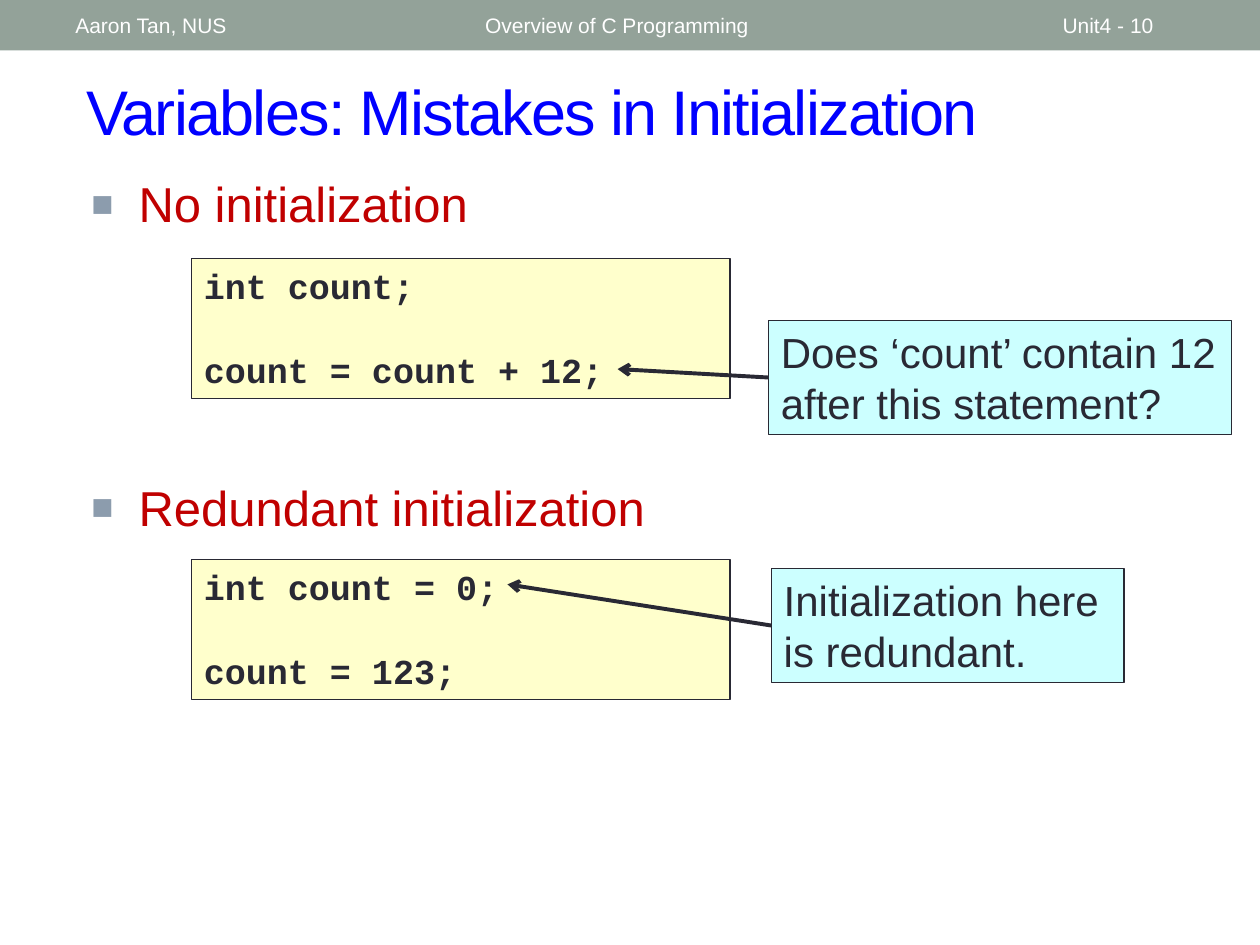
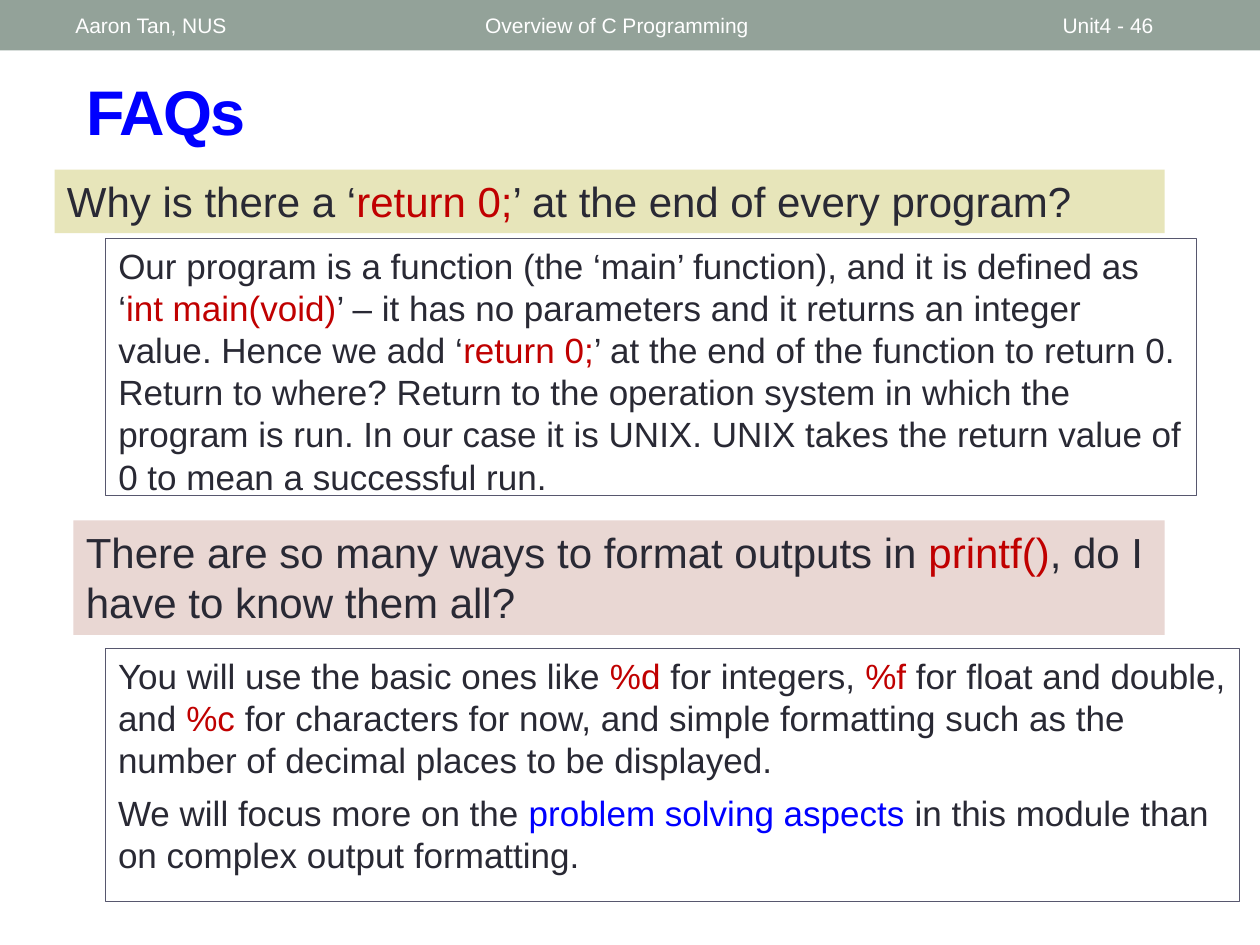
from dataclasses import dataclass

from lxml import etree
from pptx import Presentation
from pptx import util as u
from pptx.dml.color import RGBColor
from pptx.enum import shapes, text
from pptx.oxml.ns import qn


@dataclass(frozen=True)
class Theme:
    band: str = "93A299"
    white: str = "FFFFFF"
    ink: str = "292934"
    title: str = "0000FF"
    accent: str = "C00000"
    bullet: str = "8C9CAD"
    border: str = "57576E"
    code_fill: str = "FFFFCC"
    callout_fill: str = "CCFFFF"
    first_question: str = "E7E5BA"
    second_question: str = "E9D7D3"
    sans: str = "Arial"
    mono: str = "Courier New"
    title_size: int = 36
    list_size: int = 28
    large_size: int = 24
    body_size: int = 20
    header_size: int = 12


theme = Theme()


def write_text(shape, paragraphs, size, color=theme.ink, font=theme.sans, bold=False,
               anchor=text.MSO_ANCHOR.TOP, gap=0, bullet=False, tracking=0):
    frame = shape.text_frame
    frame.word_wrap = True
    frame.auto_size = text.MSO_AUTO_SIZE.NONE
    frame.vertical_anchor = anchor
    for index, segments in enumerate(paragraphs):
        paragraph = frame.add_paragraph() if index else frame.paragraphs[0]
        properties = paragraph._p.get_or_add_pPr()
        indent = u.Cm(0.95) if bullet else 0
        properties.set("marL", str(indent))
        properties.set("indent", str(-indent))
        if bullet:
            bullet_color = etree.SubElement(properties, qn("a:buClr"))
            etree.SubElement(bullet_color, qn("a:srgbClr"), val=theme.bullet)
            etree.SubElement(properties, qn("a:buSzPct"), val="75000")
            etree.SubElement(properties, qn("a:buFont"), typeface=theme.sans)
            etree.SubElement(properties, qn("a:buChar"), char="■")
        else:
            etree.SubElement(properties, qn("a:buNone"))
        paragraph.alignment = text.PP_ALIGN.LEFT
        paragraph.line_spacing = 1.0
        paragraph.space_before = u.Pt(gap if index else 0)
        for segment in [segments] if isinstance(segments, str) else segments:
            content, segment_color = (segment, color) if isinstance(segment, str) else segment
            run = paragraph.add_run()
            run.text = content
            run.font.name = font
            run.font.size = u.Pt(size)
            run.font.bold = bold
            run.font.color.rgb = RGBColor.from_string(segment_color)
            if tracking:
                run._r.get_or_add_rPr().set("spc", str(tracking * 100))


def add_box(slide, left, top, width, height, fill=None, line=None):
    box = slide.shapes.add_shape(
        shapes.MSO_SHAPE.RECTANGLE, u.Cm(left), u.Cm(top), u.Cm(width), u.Cm(height))
    box.shadow.inherit = False
    if fill:
        box.fill.solid()
        box.fill.fore_color.rgb = RGBColor.from_string(fill)
    else:
        box.fill.background()
    if line:
        box.line.color.rgb = RGBColor.from_string(line)
        box.line.width = u.Pt(0.75)
    else:
        box.line.fill.background()
    return box


presentation = Presentation()
presentation.slide_width = u.Cm(25.4)
presentation.slide_height = u.Cm(19.05)

mistakes_slide = presentation.slides.add_slide(presentation.slide_layouts[3])
faq_slide = presentation.slides.add_slide(presentation.slide_layouts[1])

for slide, title, bold, number in [
    (mistakes_slide, "Variables: Mistakes in Initialization", False, 10),
    (faq_slide, "FAQs", True, 46),
]:
    add_box(slide, 0, 0, 25.4, 1.02, fill=theme.band)
    title_shape = slide.shapes.title
    title_shape.left, title_shape.top = u.Cm(1.48), u.Cm(1.27)
    title_shape.width, title_shape.height = u.Cm(22.65), u.Cm(1.9)
    write_text(title_shape, [title], theme.title_size, color=theme.title, bold=bold,
               anchor=text.MSO_ANCHOR.MIDDLE, tracking=-1)
    for left, width, label in [
        (9.53, 11.43, "Overview of C Programming"),
        (21.17, 2.97, f"Unit4 - {number}"),
        (1.27, 8.05, "Aaron Tan, NUS"),
    ]:
        header = slide.shapes.add_textbox(u.Cm(left), u.Cm(0.05), u.Cm(width), u.Cm(0.91))
        write_text(header, [label], theme.header_size, color=theme.white,
                   anchor=text.MSO_ANCHOR.MIDDLE)

mistakes = [
    (3.38, "No initialization", 5.21, ["int count;", "count = count + 12;"],
     (15.49, 6.46, 9.34), "Does ‘count’ contain 12 after this statement?", (12.45, 7.44)),
    (9.49, "Redundant initialization", 11.28, ["int count = 0;", "count = 123;"],
     (15.55, 11.46, 7.11), "Initialization here is redundant.", (10.23, 11.78)),
]
for index, mistake in enumerate(mistakes, start=1):
    heading_top, heading, code_top, code, callout_place, remark, arrow_tip = mistake
    heading_shape = mistakes_slide.placeholders[index]
    heading_shape.left, heading_shape.top = u.Cm(1.59), u.Cm(heading_top)
    heading_shape.width, heading_shape.height = u.Cm(23.24), u.Cm(1.96)
    write_text(heading_shape, [heading], theme.list_size, color=theme.accent, bullet=True)

    code_box = add_box(mistakes_slide, 3.86, code_top, 10.86, 2.82, theme.code_fill, theme.ink)
    write_text(code_box, code, theme.body_size, font=theme.mono, bold=True, gap=24)

    left, top, width = callout_place
    callout_height = 2.3
    callout = add_box(mistakes_slide, left, top, width, callout_height,
                      theme.callout_fill, theme.ink)
    write_text(callout, [remark], theme.large_size)

    arrow = mistakes_slide.shapes.add_connector(
        shapes.MSO_CONNECTOR.STRAIGHT, u.Cm(left), u.Cm(top + callout_height / 2),
        u.Cm(arrow_tip[0]), u.Cm(arrow_tip[1]))
    arrow.line.color.rgb = RGBColor.from_string(theme.ink)
    arrow.line.width = u.Pt(2.25)
    etree.SubElement(arrow.line._get_or_add_ln(), qn("a:tailEnd"), type="arrow")
    etree.SubElement(arrow._element.spPr, qn("a:effectLst"))

first_answer = faq_slide.placeholders[1]
first_answer.left, first_answer.top = u.Cm(2.13), u.Cm(4.81)
first_answer.width, first_answer.height = u.Cm(21.99), u.Cm(5.18)
first_answer.line.color.rgb = RGBColor.from_string(theme.border)
first_answer.line.width = u.Pt(0.75)
write_text(first_answer, [[
    "Our program is a function (the ‘main’ function), and it is defined as ‘",
    ("int main(void)", theme.accent),
    "’ – it has no parameters and it returns an integer value. Hence we add ‘",
    ("return 0;", theme.accent),
    "’ at the end of the function to return 0. Return to where? Return to the operation "
    "system in which the program is run. In our case it is UNIX. UNIX takes the return "
    "value of 0 to mean a successful run.",
]], theme.body_size)

first_question = add_box(faq_slide, 1.1, 3.42, 22.38, 1.28, theme.first_question)
write_text(first_question, [[
    "Why is there a ‘", ("return 0;", theme.accent), "’ at the end of every program?",
]], theme.large_size)

second_answer = add_box(faq_slide, 2.13, 13.07, 22.86, 5.11, line=theme.border)
write_text(second_answer, [
    [
        "You will use the basic ones like ", ("%d ", theme.accent),
        "for integers, ", ("%f ", theme.accent),
        "for float and double, and ", ("%c ", theme.accent),
        "for characters for now, and simple formatting such as the number of decimal "
        "places to be displayed.",
    ],
    [
        "We will focus more on the ", ("problem solving aspects ", theme.title),
        "in this module than on complex output formatting.",
    ],
], theme.body_size, gap=6)

second_question = add_box(faq_slide, 1.48, 10.49, 22, 2.31, theme.second_question)
write_text(second_question, [[
    "There are so many ways to format outputs in ", ("printf()", theme.accent),
    ", do I have to know them all?",
]], theme.large_size)

presentation.save("out.pptx")
